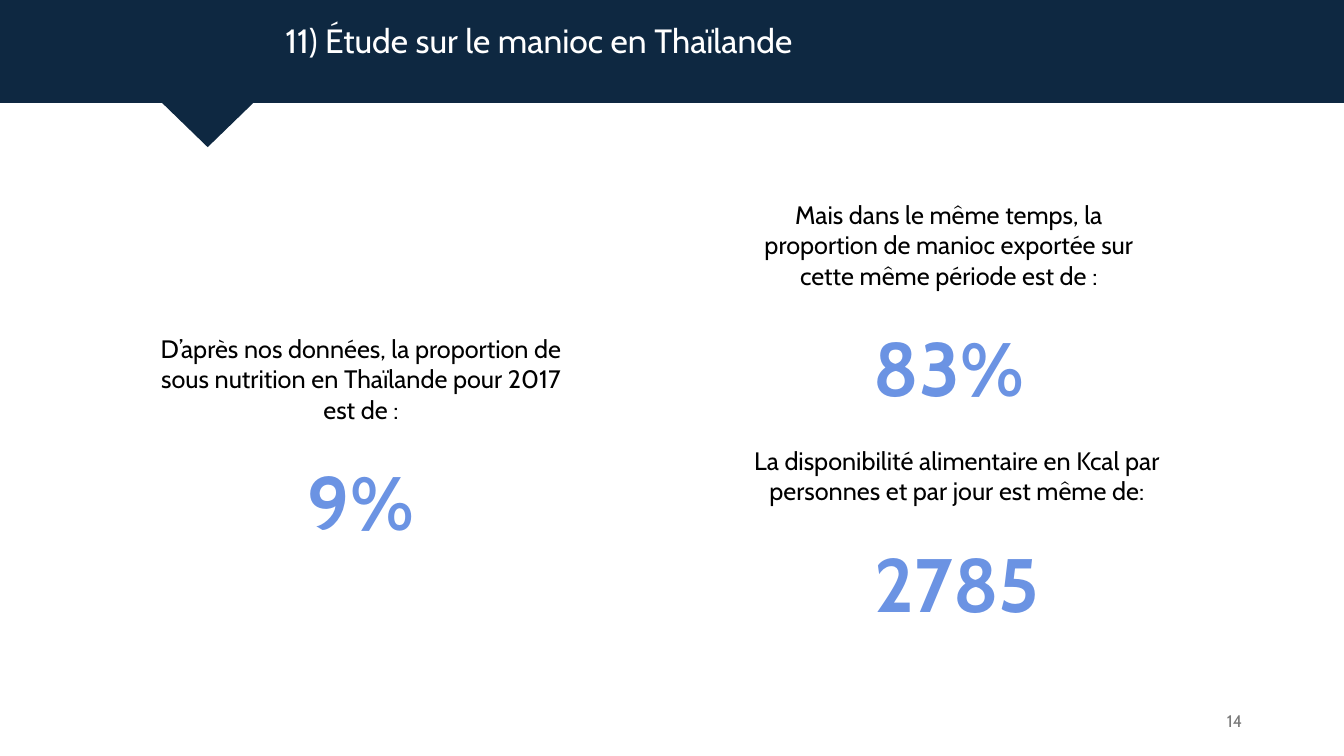
import pptx
import pptx.dml.color
import pptx.enum.shapes
import pptx.enum.text
import pptx.util

SHAPE = pptx.enum.shapes.MSO_SHAPE
ALIGN = pptx.enum.text.PP_ALIGN
ANCHOR = pptx.enum.text.MSO_ANCHOR
PX = 9144  # 100 px to the inch


def colour(hex_string):
    return pptx.dml.color.RGBColor.from_string(hex_string)


class StudySlide:
    font = "Cabin"
    navy, blue, grey, black, white = "0E2841", "6B93E3", "797979", "000000", "FFFFFF"

    def __init__(self, presentation):
        self.slide = presentation.slides.add_slide(presentation.slide_layouts[5])

    def panel(self, preset, *box):
        panel = self.slide.shapes.add_shape(preset, *(n * PX for n in box))
        panel.shadow.inherit = False
        panel.fill.solid()
        panel.fill.fore_color.rgb = colour(self.navy)
        panel.line.fill.background()

    def set_text(self, paragraph, text, size, hue, align, bold=False):
        paragraph.text = text
        paragraph.alignment = align
        paragraph.font.name = self.font
        paragraph.font.size = pptx.util.Pt(size)
        paragraph.font.bold = bold
        paragraph.font.color.rgb = colour(hue)

    def title(self, text, *box):
        title = self.slide.shapes.title
        title.left, title.top, title.width, title.height = (n * PX for n in box)
        title.text_frame.auto_size = pptx.enum.text.MSO_AUTO_SIZE.NONE
        title.text_frame.vertical_anchor = ANCHOR.TOP
        self.set_text(title.text_frame.paragraphs[0], text, 24, self.white, ALIGN.LEFT)
        # Bring the title in front of the band
        title.element.getparent().append(title.element)

    def text_frame(self, *box):
        frame = self.slide.shapes.add_textbox(*(n * PX for n in box)).text_frame
        frame.word_wrap = True
        return frame

    def page_number(self, number, *box):
        frame = self.text_frame(*box)
        frame.vertical_anchor = ANCHOR.MIDDLE
        self.set_text(frame.paragraphs[0], number, 12, self.grey, ALIGN.RIGHT)

    def key_figure(self, statement, figure, *box):
        frame = self.text_frame(*box)
        self.set_text(frame.paragraphs[0], statement, 18, self.black, ALIGN.CENTER)
        value = frame.add_paragraph()
        value.space_before = pptx.util.Pt(22)
        self.set_text(value, figure, 54, self.blue, ALIGN.CENTER, bold=True)


def main():
    presentation = pptx.Presentation()
    presentation.slide_width = 1333 * PX
    presentation.slide_height = 750 * PX
    study = StudySlide(presentation)

    # Header band with its pointer
    study.panel(SHAPE.RECTANGLE, 0, 0, 1333, 102)
    study.panel(SHAPE.FLOWCHART_MERGE, 139, 81, 134, 65)
    study.title("11) Étude sur le manioc en Thaïlande", 273, 15, 896, 50)

    # Page number
    study.page_number("14", 942, 695, 300, 40)

    # Key figures
    study.key_figure(
        "D’après nos données, la proportion de sous nutrition en Thaïlande "
        "pour 2017 est de :", "9%", 139, 326, 438, 222)
    study.key_figure(
        "Mais dans le même temps, la proportion de manioc exportée sur cette "
        "même période est de :", "83%", 722, 193, 438, 222)
    study.key_figure(
        "La disponibilité alimentaire en Kcal par personnes et par jour est "
        "même de:", "2785", 730, 437, 438, 192)

    presentation.save("out.pptx")


if __name__ == "__main__":
    main()
